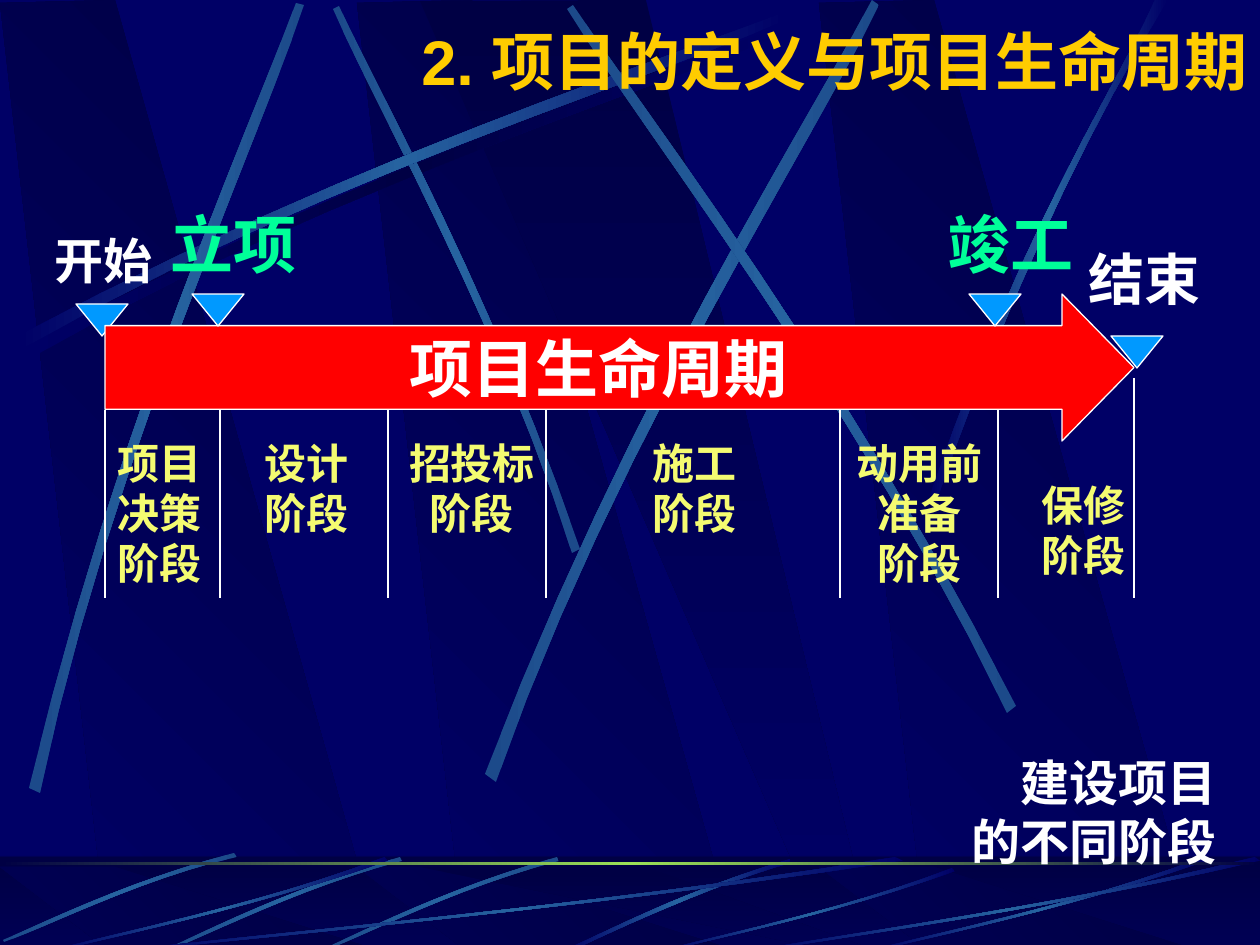
from copy import deepcopy

from pptx import Presentation
from pptx.dml.color import RGBColor
from pptx.enum.shapes import MSO_CONNECTOR, MSO_SHAPE
from pptx.enum.text import MSO_ANCHOR, MSO_AUTO_SIZE, PP_ALIGN
from pptx.oxml.ns import qn
from pptx.util import Pt
from lxml import etree

PX = 7257  # EMU in one pixel
LEFT, CENTER, RIGHT = PP_ALIGN.LEFT, PP_ALIGN.CENTER, PP_ALIGN.RIGHT
TOP, MIDDLE = MSO_ANCHOR.TOP, MSO_ANCHOR.MIDDLE
RECTANGLE, RIGHT_ARROW = MSO_SHAPE.RECTANGLE, MSO_SHAPE.RIGHT_ARROW
TRIANGLE, STRAIGHT = MSO_SHAPE.ISOSCELES_TRIANGLE, MSO_CONNECTOR.STRAIGHT
NO_AUTOFIT = MSO_AUTO_SIZE.NONE

WHITE, YELLOW, GREEN = "FFFFFF", "F4FB71", "00FF99"
NAVY, DARK, STEEL, MID_BLUE = "000066", "000044", "2663A0", "1C4A8A"


def paint(fill, *colours, angle=0):
    """Fill with one colour, or with evenly spaced gradient stops."""
    if len(colours) == 1:
        fill.solid()
        fill.fore_color.rgb = RGBColor.from_string(colours[0])
        return
    fill.gradient()
    fill.gradient_angle = (360 - angle) % 360
    stop_list = fill.gradient_stops[0]._gs.getparent()
    for _ in colours[2:]:
        stop_list.append(deepcopy(stop_list[0]))
    for index, (stop, colour) in enumerate(zip(fill.gradient_stops, colours)):
        stop.color.rgb = RGBColor.from_string(colour)
        stop.position = index / (len(colours) - 1)


def write(frame, text, size=24, colour=YELLOW, align=LEFT, anchor=TOP, wrap=True):
    frame.text = text
    frame.word_wrap = wrap
    frame.auto_size = NO_AUTOFIT
    frame.vertical_anchor = anchor
    for paragraph in frame.paragraphs:
        paragraph.alignment = align
        font = paragraph.runs[0].font
        font.name, font.size, font.bold = "Arial", Pt(size), True
        paint(font.fill, colour)


presentation = Presentation()
presentation.slide_width, presentation.slide_height = 1260 * PX, 945 * PX
slide = presentation.slides.add_slide(presentation.slide_layouts[5])
shapes = slide.shapes
paint(slide.background.fill, NAVY)

# Backdrop parts: kind, points, colours, gradient angle
SHADE, GLOW, STEADY = (DARK, NAVY), (NAVY, STEEL, NAVY), (MID_BLUE, STEEL, MID_BLUE)
BAND_LEFTS = (357, 0, 819)
rising = [(18, 336), (351, 159), (653, 64), (782, 13),
          (786, 20), (658, 77), (313, 180), (22, 349)]
parts = [("polygon", [(left + 108, 945), (left + 381, 947), (left + 115, 0), (left, 3)],
          SHADE, 135) for left in BAND_LEFTS]
parts += [
    ("polygon", [(420, 1), (829, 946), (874, 946), (646, 0)], SHADE, 90),
    ("streak", [(x + 7, y + 10) for x, y in rising], (NAVY, DARK, NAVY), 0),
    ("streak", [(580, 549), (493, 295), (381, 97), (339, 6),
                (333, 9), (372, 100), (501, 325), (572, 553)], STEADY, 0),
    ("streak", rising, GLOW, 0),
    ("streak", [(29, 788), (117, 421), (248, 132), (296, 3),
                (304, 5), (261, 136), (108, 464), (40, 793)], STEADY, 0),
    ("streak", [(485, 774), (627, 403), (804, 129), (872, 0),
                (879, 5), (818, 136), (612, 447), (496, 782)], STEADY, 0),
    ("streak", [(1016, 706), (844, 369), (650, 120), (573, 5),
                (567, 9), (639, 127), (863, 410), (1007, 713)], STEADY, 0),
    ("streak", [(930, 495), (1026, 218), (1119, 83), (1155, 0),
                (1168, 0), (1053, 183), (969, 406), (937, 500)], GLOW, 0),
    ("rectangle", [(0, 857), (1260, 945)], SHADE, 90),
]
parts += [("polygon", [(left + 108, 950), (left + 381, 951), (left + 115, 867), (left, 867)],
           SHADE, 135) for left in BAND_LEFTS]
parts += [
    ("polygon", [(420, 867), (829, 950), (874, 950), (646, 867)], SHADE, 90),
    ("veil", [(0, 856), (1260, 945)], (DARK,), 0),
    ("streak", [(790, 859), (677, 893), (601, 935), (564, 950),
                (571, 951), (617, 929), (719, 882), (791, 863)], GLOW, 0),
    ("streak", [(234, 853), (125, 882), (42, 924), (3, 940),
                (4, 942), (43, 929), (139, 879), (237, 857)], STEADY, 0),
]
floor_curve = [(557, 857), (447, 888), (362, 932), (323, 949),
               (324, 951), (363, 936), (460, 886), (559, 861)]
parts += [("streak", [(x - shift, y) for x, y in floor_curve], STEADY, 0) for shift in (0, 157)]
SWEEP = [(1, 0.04), (0.57, 0.57), (0.17, 0.85), (0.01, 1),
         (0, 0.99), (0.17, 0.82), (0.62, 0.51), (0.99, 0)]
for left, top, width in ((126, 857, 777), (53, 857, 335), (664, 868, 291),
                         (872, 857, 335), (756, 857, 504)):
    parts.append(("streak", [(left + width * x, top + (951 - top) * y) for x, y in SWEEP],
                  GLOW, 0))
parts.append(("rectangle", [(0, 862), (1260, 865)], (DARK, "9CE157", DARK), 0))

# Draw the backdrop
for kind, points, colours, angle in parts:
    if kind in ("rectangle", "veil"):
        (left, top), (right, bottom) = points
        shape = shapes.add_shape(RECTANGLE, left * PX, top * PX,
                                 (right - left) * PX, (bottom - top) * PX)
    else:
        if kind == "streak":  # two cubic curves, one for each side
            points = [tuple((1 - t) ** 3 * a + 3 * t * (1 - t) ** 2 * b
                            + 3 * t ** 2 * (1 - t) * c + t ** 3 * d
                            for a, b, c, d in zip(*side))
                      for side in (points[:4], points[4:])
                      for t in (step / 12 for step in range(13))]
        outline = [(x * PX, y * PX) for x, y in points]
        builder = shapes.build_freeform(*outline[0])
        builder.add_line_segments(outline[1:], close=True)
        shape = builder.convert_to_shape()
    shape.shadow.inherit = False
    shape.line.fill.background()
    paint(shape.fill, *colours, angle=angle)
    if kind == "veil":
        colour_element = shape._element.spPr.find(qn("a:solidFill"))[0]
        etree.SubElement(colour_element, qn("a:alpha")).set("val", "50000")

# Milestone markers and the life cycle arrow
for kind, left, top, width, height in (
        (TRIANGLE, 76, 304, 52, 32), (TRIANGLE, 1111, 336, 52, 32),
        (RIGHT_ARROW, 105, 294, 1029, 147),
        (TRIANGLE, 192, 294, 52, 32), (TRIANGLE, 969, 294, 52, 32)):
    shape = shapes.add_shape(kind, left * PX, top * PX, width * PX, height * PX)
    shape.shadow.inherit = False
    paint(shape.line.fill, WHITE)
    shape.line.width = Pt(0.74)
    if kind == TRIANGLE:
        shape.rotation = 180
        paint(shape.fill, "0099FF")
    else:
        shape.adjustments[0], shape.adjustments[1] = 0.57, 0.49
        paint(shape.fill, "FF0000")
        write(shape.text_frame, "项目生命周期", size=36, colour=WHITE,
              align=CENTER, anchor=MIDDLE, wrap=False)

# Stage dividers
for x, top in ((105, 410), (220, 410), (388, 410), (546, 410),
               (840, 410), (998, 410), (1134, 378)):
    divider = shapes.add_connector(STRAIGHT, x * PX, top * PX, x * PX, 598 * PX)
    paint(divider.line.fill, WHITE)
    divider.line.width = Pt(0.74)
    etree.SubElement(divider._element.spPr, qn("a:effectLst"))

# Milestone names, stage names and caption
for text, left, top, width, height, style in (
        ("开始", 42, 224, 122, 72, dict(size=28, colour=WHITE, wrap=False)),
        ("结束", 1076, 238, 137, 81, dict(size=32, colour=WHITE, wrap=False)),
        ("立项", 158, 199, 151, 88, dict(size=36, colour=GREEN, wrap=False)),
        ("竣工", 935, 199, 151, 88, dict(size=36, colour=GREEN, wrap=False)),
        ("项目决策\n阶段", 105, 431, 126, 164, {}),
        ("设计阶段", 252, 431, 116, 113, {}),
        ("招投标阶段", 388, 431, 168, 113, dict(align=CENTER)),
        ("施工阶段", 640, 431, 116, 113, {}),
        ("动用前准备\n阶段", 840, 431, 160, 164, dict(align=CENTER)),
        ("保修阶段", 1029, 473, 126, 113, {}),
        ("建设项目\n的不同阶段", 746, 746, 483, 131,
         dict(size=28, colour=WHITE, align=RIGHT))):
    box = shapes.add_textbox(left * PX, top * PX, width * PX, height * PX)
    write(box.text_frame, text, **style)

# Title, brought in front of the backdrop
title = shapes.title
title.left, title.top, title.width, title.height = 388 * PX, 16 * PX, 872 * PX, 88 * PX
write(title.text_frame, "2. 项目的定义与项目生命周期", size=36, colour="FFCC00",
      align=RIGHT, anchor=MIDDLE)
title._element.getparent().append(title._element)

presentation.save("out.pptx")
